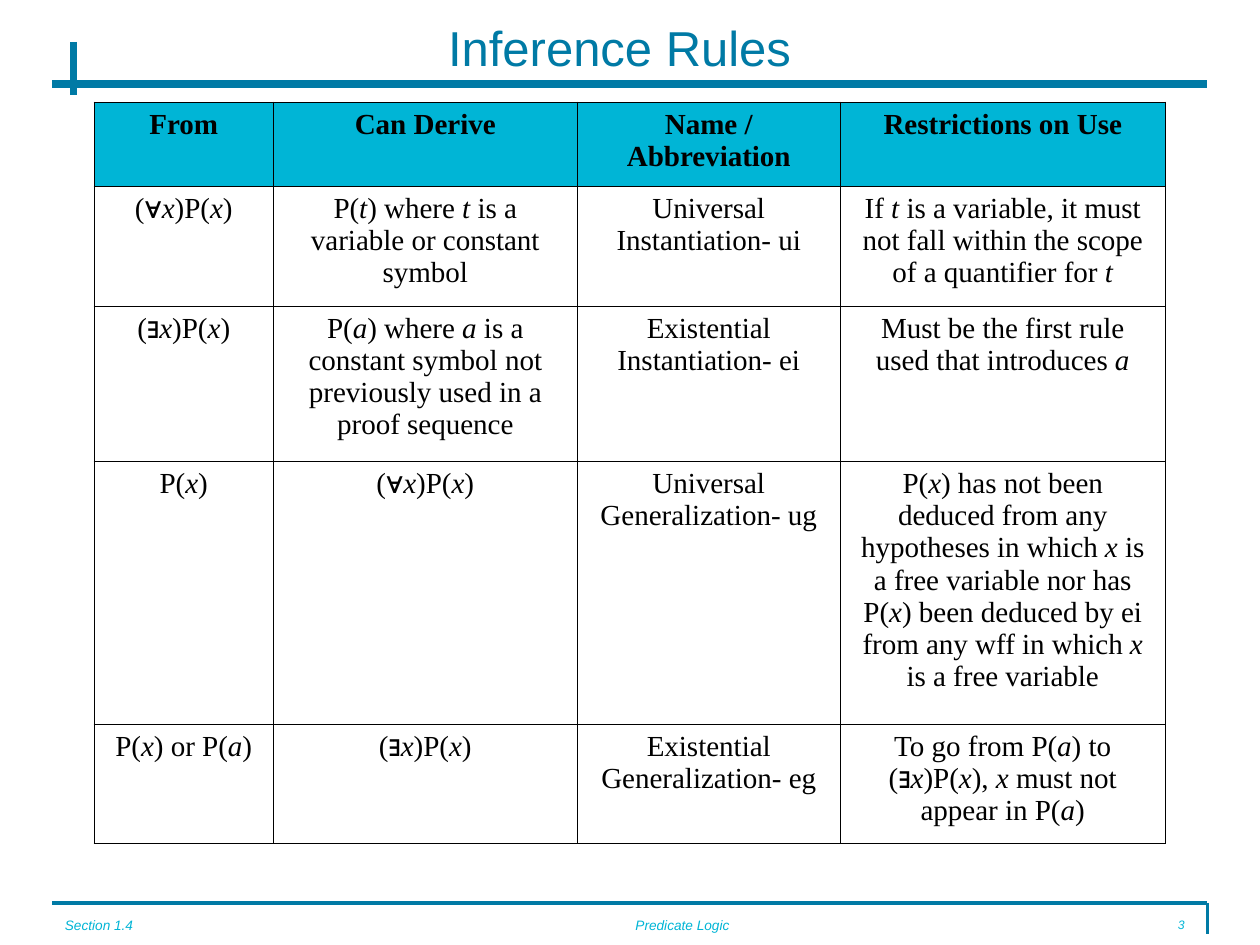
import itertools

import pptx
import pptx.dml.color
import pptx.enum.shapes
import pptx.enum.text
import pptx.oxml
import pptx.oxml.ns
import pptx.util

BLUE, CYAN, BLACK = "007AA5", "00B5D6", "000000"
ALIGN = pptx.enum.text.PP_ALIGN

deck = pptx.Presentation()
deck.slide_width = pptx.util.Inches(10)
deck.slide_height = pptx.util.Inches(7.5)
UNIT = deck.slide_width // 120  # the slide is a grid of 120 columns by 90 rows
page = deck.slides.add_slide(deck.slide_layouts[5])


def grid(*counts):
    return [round(count * UNIT) for count in counts]


def style(font, name, size, color):
    font.name = name
    font.size = pptx.util.Pt(size)
    font.color.rgb = pptx.dml.color.RGBColor.from_string(color)


# Frame lines: footer rule and its corner, title rule and its tick
for ends, width in [
    ((5, 86, 115, 86), 2.25),
    ((115, 86, 115, 89), 2.25),
    ((5, 8, 115, 8), 4.5),
    ((7, 4, 7, 9), 4.5),
]:
    rule = page.shapes.add_connector(pptx.enum.shapes.MSO_CONNECTOR.STRAIGHT, *grid(*ends))
    rule.line.width = pptx.util.Pt(width)
    rule.line.color.rgb = pptx.dml.color.RGBColor.from_string(BLUE)
    rule._element.spPr.append(pptx.oxml.parse_xml(
        f"<a:effectLst {pptx.oxml.ns.nsdecls('a')}/>"))

# Footer
for words, left, width, size, align in [
    ("Section 1.4", 5, 21, 7.8, ALIGN.LEFT),
    ("Predicate Logic", 40, 50, 7.8, ALIGN.CENTER),
    ("3", 105, 9, 7, ALIGN.RIGHT),
]:
    box = page.shapes.add_textbox(*grid(left, 87, width, 3))
    box.text_frame.word_wrap = True
    para = box.text_frame.paragraphs[0]
    para.text = words
    para.alignment = align
    para.line_spacing = 0.8
    para.font.italic = True
    style(para.font, "Arial", size, CYAN)

# Title
title = page.shapes.title
title.left, title.top, title.width, title.height = grid(8, 2, 102, 5)
title.text_frame.text = "Inference Rules"
title.text_frame.vertical_anchor = pptx.enum.text.MSO_ANCHOR.MIDDLE
para = title.text_frame.paragraphs[0]
para.alignment = ALIGN.CENTER
style(para.font, "Arial", 28, BLUE)

# Rules table; asterisks enclose italic variables
rules = [
    ["From", "Can Derive", "Name / Abbreviation", "Restrictions on Use"],
    ["(∀*x*)P(*x*)",
     "P(*t*) where *t* is a variable or constant symbol",
     "Universal Instantiation- ui",
     "If *t* is a variable, it must not fall within the scope of a quantifier for *t*"],
    ["(∃*x*)P(*x*)",
     "P(*a*) where *a* is a constant symbol not previously used in a proof sequence",
     "Existential Instantiation- ei",
     "Must be the first rule used that introduces *a*"],
    ["P(*x*)",
     "(∀*x*)P(*x*)",
     "Universal Generalization- ug",
     "P(*x*) has not been deduced from any hypotheses in which *x* is a free variable "
     "nor has P(*x*) been deduced by ei from any wff in which *x* is a free variable"],
    ["P(*x*) or P(*a*)",
     "(∃*x*)P(*x*)",
     "Existential Generalization- eg",
     "To go from P(*a*) to (∃*x*)P(*x*), *x* must not appear in P(*a*)"],
]
widths = [17, 29, 25, 31]
heights = [8, 11.4, 14.8, 25, 11.4]
last_row, last_col = len(heights) - 1, len(widths) - 1

table = page.shapes.add_table(
    len(heights), len(widths), *grid(9, 9.75, sum(widths), sum(heights))).table
table.first_row = table.horz_banding = False
for column, width in zip(table.columns, grid(*widths)):
    column.width = width
for row, height in zip(table.rows, grid(*heights)):
    row.height = height

for r, c in itertools.product(range(len(heights)), range(len(widths))):
    cell = table.cell(r, c)
    outer_edges = {"L": c == 0, "R": c == last_col, "T": r == 0, "B": r == last_row}
    for side, outer in outer_edges.items():
        line_width = pptx.util.Pt(1.08 if outer else 0.45)
        cell._tc.get_or_add_tcPr().append(pptx.oxml.parse_xml(
            f'<a:ln{side} {pptx.oxml.ns.nsdecls("a")} w="{line_width}"><a:solidFill>'
            f'<a:srgbClr val="{BLACK}"/></a:solidFill></a:ln{side}>'))
    if r == 0:
        cell.fill.solid()
        cell.fill.fore_color.rgb = pptx.dml.color.RGBColor.from_string(CYAN)
    else:
        cell.fill.background()

    para = cell.text_frame.paragraphs[0]
    para.alignment = ALIGN.CENTER
    para.space_before = pptx.util.Pt(4.2)
    para.font.bold = r == 0
    style(para.font, "Times New Roman", 16.6, BLACK)
    for i, piece in enumerate(rules[r][c].split("*")):
        for quantifier, letters in itertools.groupby(piece, lambda letter: letter in "∀∃"):
            span = para.add_run()
            span.text = "".join(letters)
            if i % 2:
                span.font.italic = True
            if quantifier:
                span.font.name = "Arial"

deck.save("out.pptx")
